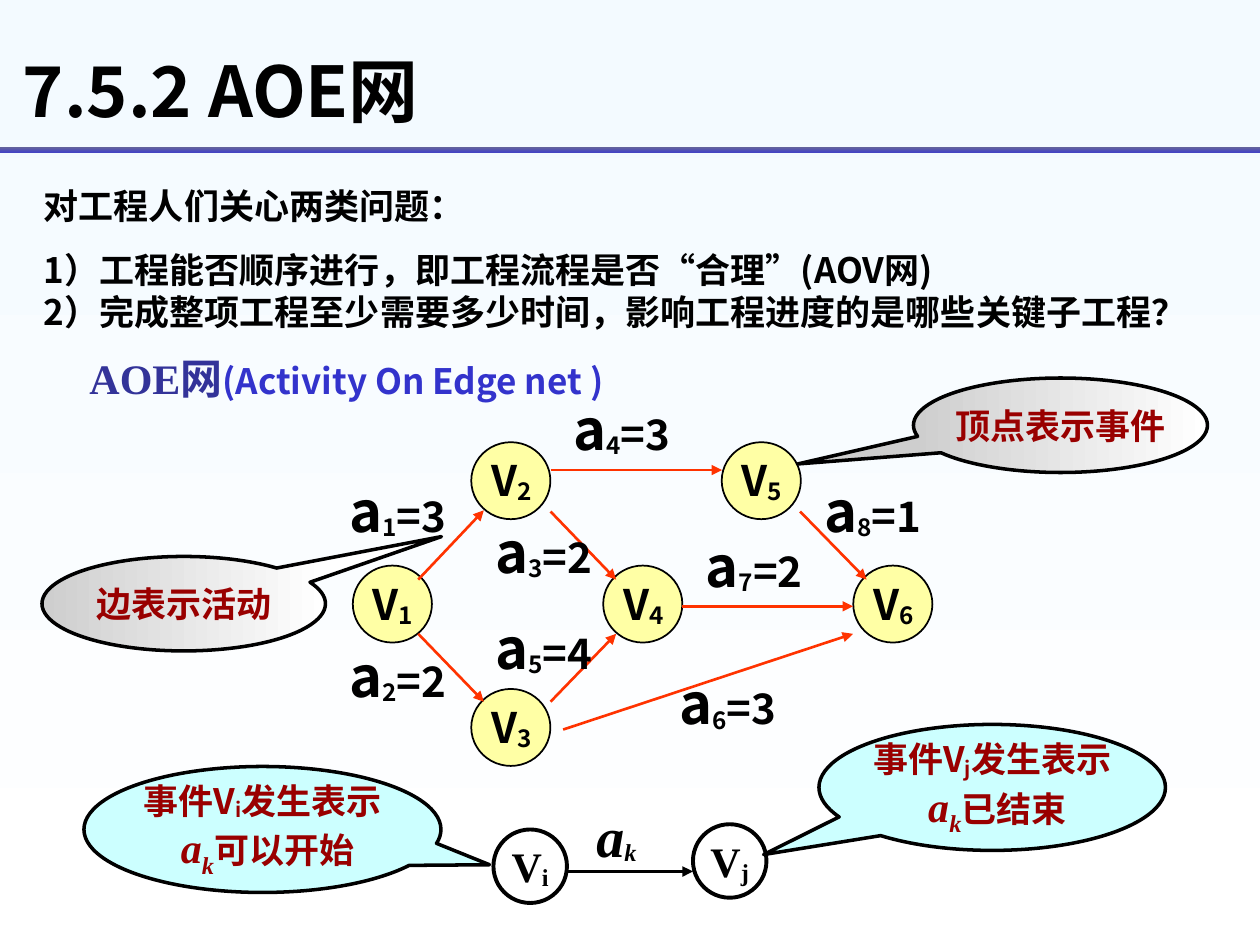
from lxml.etree import SubElement as Sub
from pptx import Presentation
from pptx.dml.color import RGBColor
from pptx.enum.shapes import MSO_CONNECTOR as Wire, MSO_SHAPE as Form
from pptx.enum.text import MSO_ANCHOR as Anchor, MSO_AUTO_SIZE as Fit, PP_ALIGN as Align
from pptx.oxml.ns import qn
from pptx.util import Pt

hue = RGBColor.from_string
SANS, SERIF = "Noto Sans CJK SC", "Times New Roman"
MID, LEFT = Align.CENTER, Align.LEFT
GROW = {"word_wrap": True, "auto_size": Fit.SHAPE_TO_FIT_TEXT}
FIX = {"word_wrap": False, "vertical_anchor": Anchor.MIDDLE}


def write(shape, paras, size, color="000000", name=SANS, align=LEFT, gap=0, frame=GROW):
    """Each paragraph is a list of (text, changes) runs."""
    body = shape.text_frame
    for key, val in frame.items():
        setattr(body, key, val)
    for n, runs in enumerate(paras):
        para = body.add_paragraph() if n else body.paragraphs[0]
        para.alignment, para.space_before = align, Pt(gap)
        for text, change in runs:
            for m, line in enumerate(text.split("\n")):
                if m:
                    para.add_line_break()
                run = para.add_run()
                run.text = line
                look = {"size": size, "name": name, "bold": True, "color": color, **change}
                base, tint = look.pop("base", 0), look.pop("color")
                look["size"] = Pt(look["size"])
                for key, val in look.items():
                    setattr(run.font, key, val)
                run.font.color.rgb = hue(tint)
                props = run.font._element
                Sub(props, qn("a:ea")).set("typeface", SANS)
                if base:
                    props.set("baseline", str(base * 1000))


def draw(home, form, box, fill=None, width=0):
    shape = home.add_shape(form, *map(Pt, box))
    shape.shadow.inherit = False
    if fill:
        shape.fill.solid()
        shape.fill.fore_color.rgb = hue(fill)
    else:
        shape.fill.background()
    if width:
        shape.line.color.rgb = hue("000000")
        shape.line.width = Pt(width)
    else:
        shape.line.fill.background()
    return shape


deck = Presentation()
deck.slide_width, deck.slide_height = Pt(720), Pt(540)
slide = deck.slides.add_slide(deck.slide_layouts[6])
page = slide.shapes
net = page.add_group_shape().shapes
pair = page.add_group_shape().shapes
sub = {"base": -10}

# Title, rule and questions
title = page.add_textbox(Pt(6), Pt(24), Pt(624), Pt(54))
write(title, [[("7.5.2 AOE网", {})]], 40,
      frame={"word_wrap": True, "vertical_anchor": Anchor.MIDDLE})
rule = draw(page, Form.RECTANGLE, (0, 84, 720, 3))
intro = page.add_textbox(Pt(18), Pt(102), Pt(678), Pt(92))
write(intro, [
    [("对工程人们关心两类问题：", {})],
    [("1）工程能否顺序进行，即工程流程是否“合理”(AOV网)\n"
      "2）完成整项工程至少需要多少时间，影响工程进度的是哪些关键子工程？", {})],
], 20, gap=12.5)
term = page.add_textbox(Pt(24), Pt(198), Pt(348), Pt(36))
write(term, [[("AOE网", {"name": SERIF, "size": 24, "color": "333399"}),
              ("(Activity On Edge net )", {})]], 20, "3333CC", align=MID, gap=12.5)

# Network vertices: number, left edge, row
for num, x, row in [(3, 269.3, 2), (1, 201.6, 1), (4, 344.7, 1),
                    (6, 487.6, 1), (5, 412.4, 0), (2, 269.3, 0)]:
    y = 252.7 + 70.5 * row
    draw(net, Form.OVAL, (x, y, 45.2, 44), "FFFFA5", 1)
    tag = net.add_textbox(Pt(x + 4.3), Pt(y + 3.6), Pt(40.3), Pt(36.7))
    write(tag, [[("V", {}), (str(num), sub)]], 24, gap=15)

# Arrows of the network and of the event pair
red = [(239, 331.2, 276.5, 291.6), (314.6, 268.6, 412.6, 268.6),
       (314.6, 401, 352.1, 362.2), (239, 362.2, 276.5, 401),
       (314.6, 292.3, 352.1, 331.2), (389.5, 346.5, 487.4, 346.5),
       (321.8, 416.9, 487.4, 362.2), (457.2, 292.3, 495.2, 331.2)]
wires = [(net, ends, "FF3300", 1.5) for ends in red]
wires.append((pair, (324, 498, 396, 498), "000000", 2))
for home, ends, tint, width in wires:
    wire = home.add_connector(Wire.STRAIGHT, *map(Pt, ends))
    wire.line.color.rgb = hue(tint)
    wire.line.width = Pt(width)
    Sub(wire.line._get_or_add_ln(), qn("a:tailEnd")).set("type", "triangle")
    Sub(wire._element.spPr, qn("a:effectLst"))

# Activity labels: number, duration, left, top
for num, cost, x, y in [(4, 3, 313.9, 221.8), (1, 3, 185.8, 268.6), (2, 2, 185.8, 362.9),
                        (6, 3, 374.4, 378.7), (5, 4, 269.3, 347), (3, 2, 269.3, 292.3),
                        (7, 2, 389.5, 300.2), (8, 1, 457.2, 268.6)]:
    tag = net.add_textbox(Pt(x), Pt(y), Pt(82.8), Pt(46.1))
    write(tag, [[("a", {"size": 32}), (str(num), sub), (f"={cost}", {})]],
          24, align=MID, gap=15)

# Event pair
tag = pair.add_textbox(Pt(306), Pt(462), Pt(96), Pt(30))
write(tag, [[("a", {"size": 32, "italic": True}), ("k ", {"italic": True, **sub})]],
      24, name=SERIF, align=MID, frame=FIX)
for sign, x, y in [("j", 396, 471), ("i", 282, 474)]:
    ring = draw(pair, Form.OVAL, (x, y, 42, 42), width=2.25)
    write(ring, [[("V", {}), (sign, sub)]], 24, name=SERIF, align=MID, gap=15, frame=FIX)

# Callouts: box, tip, fill, text
slant = {"size": 24, "name": SERIF, "italic": True}
notes = [((522, 216, 168, 54), (-0.894, 0.41), None, [[("顶点表示事件", {})]]),
         ((24, 318, 162, 54), (0.909, -0.711), None, [[("边表示活动", {})]])]
for box, tip, sign, base, end in [
        ((468, 414, 198, 72), (-0.66, 0.533), "j", -10, "已结束"),
        ((48, 438, 204, 72), (0.636, 0.28), "i", -8, "可以开始")]:
    notes.append((box, tip, "CCFFFF", [
        [("事件V", {}), (sign, {"base": base}), ("发生表示", {})],
        [(" ", slant), ("a", slant), ("k", {**slant, "base": -25}), (end, {})]]))
grads = [(slide.background.fill, "F3FAFF", "FFFFFF", 270),
         (rule.fill, "666699", "4444C2", 270)]
for box, tip, fill, paras in notes:
    note = draw(page, Form.OVAL_CALLOUT, box, fill, 2)
    note.adjustments[0], note.adjustments[1] = tip
    write(note, paras, 20, "990000", align=MID, frame=FIX)
    if not fill:
        grads.append((note.fill, "FFFFFF", "CECECE", 180))

# Gradients
for fill, start, stop, angle in grads:
    fill.gradient()
    fill.gradient_angle = angle
    for mark, tint in zip(fill.gradient_stops, (start, stop)):
        mark.color.rgb = hue(tint)

deck.save("out.pptx")
